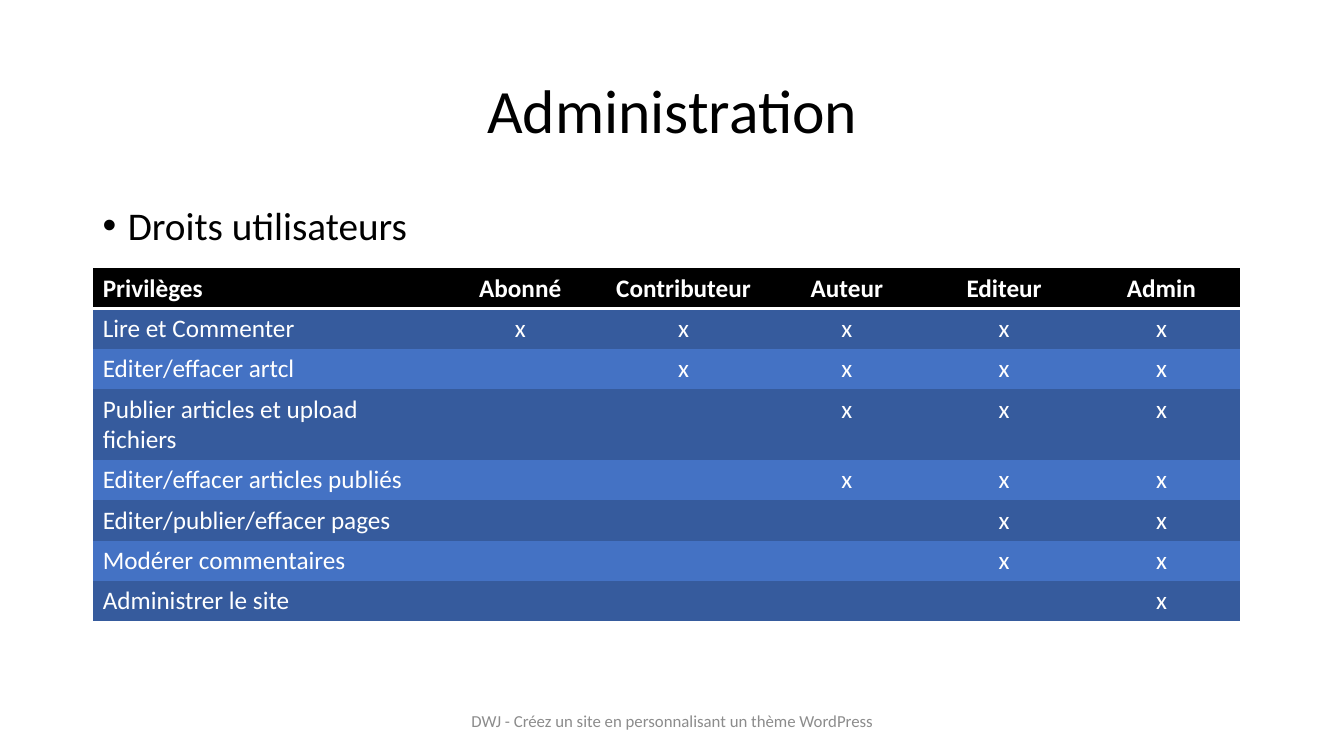
from lxml import etree
from pptx import Presentation
from pptx.dml.color import RGBColor
from pptx.enum.text import MSO_ANCHOR, PP_ALIGN
from pptx.oxml import parse_xml
from pptx.oxml.ns import nsdecls, qn
from pptx.util import Inches, Pt

CENTER, LEFT = PP_ALIGN.CENTER, PP_ALIGN.LEFT
MIDDLE, TOP = MSO_ANCHOR.MIDDLE, MSO_ANCHOR.TOP
BLACK = RGBColor(0x00, 0x00, 0x00)
WHITE = RGBColor(0xFF, 0xFF, 0xFF)
GRAY = RGBColor(0x8C, 0x8C, 0x8C)
DARK = RGBColor(0x36, 0x5B, 0x9D)
BLUE = RGBColor(0x44, 0x72, 0xC4)
FONT = "Calibri"
NO_GRID = "{2D5ABB26-0587-4C30-8999-92F81FD0307C}"

TITLE = "Administration"
POINT = "Droits utilisateurs"
FOOTER = "DWJ - Créez un site en personnalisant un thème WordPress"
HEAD = ["Privilèges", "Abonné", "Contributeur", "Auteur", "Editeur", "Admin"]
RIGHTS = [
    ("Lire et Commenter", 5),
    ("Editer/effacer artcl", 4),
    ("Publier articles et upload fichiers", 3),
    ("Editer/effacer articles publiés", 3),
    ("Editer/publier/effacer pages", 2),
    ("Modérer commentaires", 2),
    ("Administrer le site", 1),
]
WIDTHS = [3.46, 1.56, 1.68, 1.56, 1.56, 1.56]
ROW_H = 0.39


def style(para, size, color, align=LEFT, bold=False):
    para.alignment = align
    font = para.font
    font.name, font.size, font.bold = FONT, Pt(size), bold
    font.color.rgb = color


def fill_text(shape, box, text, anchor):
    shape.left, shape.top, shape.width, shape.height = map(Inches, box)
    frame = shape.text_frame
    frame.word_wrap = True
    frame.vertical_anchor = anchor
    frame.text = text
    return frame.paragraphs[0]


def add_bullet(para):
    props = para._p.get_or_add_pPr()
    props.set("marL", str(Inches(0.25)))
    props.set("indent", str(Inches(-0.25)))
    face = etree.SubElement(props, qn("a:buFont"))
    face.set("typeface", "Arial")
    etree.SubElement(props, qn("a:buChar")).set("char", "•")


def add_rule(cell):
    cell._tc.get_or_add_tcPr().insert(0, parse_xml(
        f'<a:lnB {nsdecls("a")} w="{Pt(2)}"><a:solidFill>'
        f'<a:srgbClr val="{WHITE}"/></a:solidFill></a:lnB>'))


def add_rights(slide):
    rows = [HEAD]
    for name, count in RIGHTS:
        rows.append([name] + [""] * (5 - count) + ["x"] * count)
    table = slide.shapes.add_table(
        len(rows), len(HEAD), Inches(0.92), Inches(2.66),
        Inches(sum(WIDTHS)), Inches(ROW_H * len(rows))).table
    table._tbl.tblPr.find(qn("a:tableStyleId")).text = NO_GRID
    for col, width in zip(table.columns, WIDTHS):
        col.width = Inches(width)
    for r, row in enumerate(rows):
        table.rows[r].height = Inches(ROW_H)
        shade = BLACK if r == 0 else DARK if r % 2 else BLUE
        for c, text in enumerate(row):
            cell = table.cell(r, c)
            cell.text = text
            cell.fill.solid()
            cell.fill.fore_color.rgb = shade
            style(cell.text_frame.paragraphs[0], 18, WHITE,
                  CENTER if c else LEFT, r == 0)
            if r == 0:
                add_rule(cell)


def main():
    deck = Presentation()
    deck.slide_width, deck.slide_height = Inches(13.33), Inches(7.5)
    slide = deck.slides.add_slide(deck.slide_layouts[5])

    para = fill_text(slide.shapes.title, (0.92, 0.4, 11.5, 1.45), TITLE, MIDDLE)
    para.line_spacing = 0.9
    style(para, 44, BLACK, CENTER)

    body = slide.shapes.add_textbox(0, 0, 0, 0)
    para = fill_text(body, (0.92, 2, 11.5, 4.76), POINT, TOP)
    para.line_spacing = 0.9
    add_bullet(para)
    style(para, 28, BLACK)

    foot = slide.shapes.add_textbox(0, 0, 0, 0)
    para = fill_text(foot, (4.42, 6.95, 4.5, 0.4), FOOTER, MIDDLE)
    style(para, 12, GRAY, CENTER)

    add_rights(slide)
    deck.save("out.pptx")


if __name__ == "__main__":
    main()
